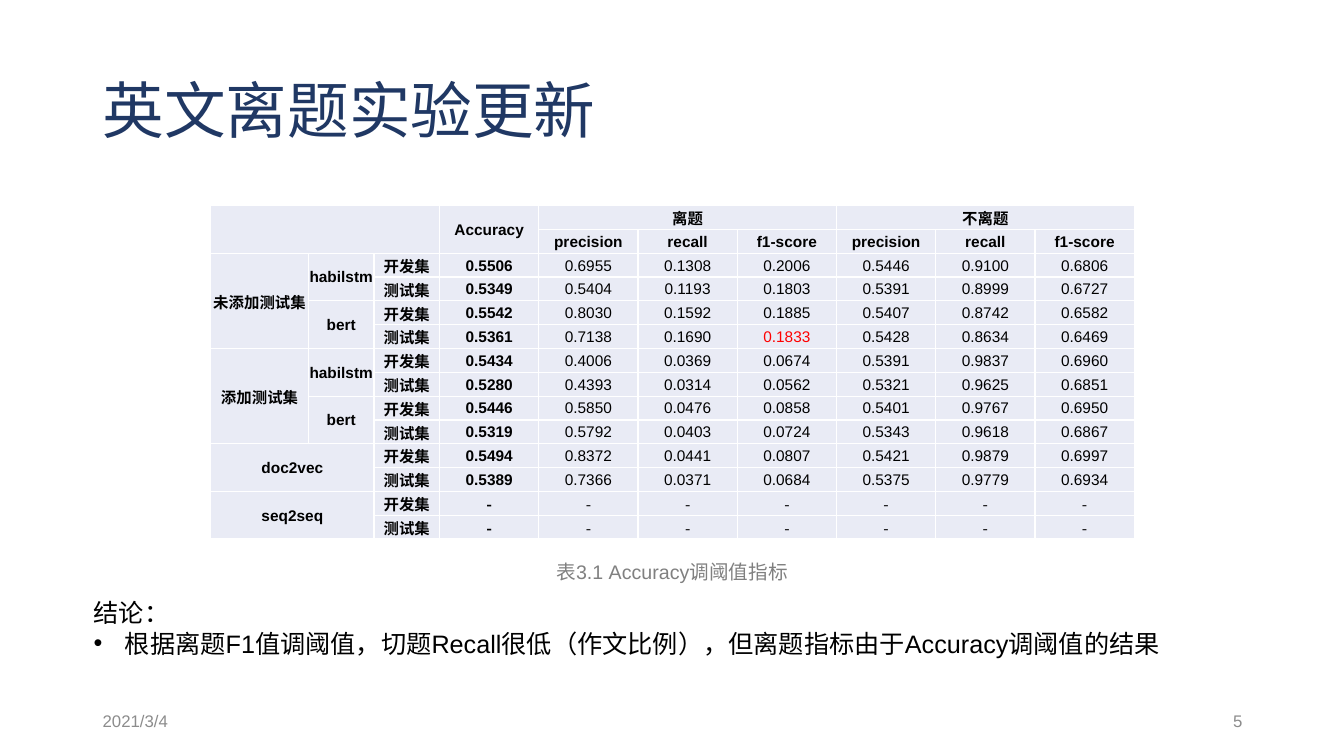
from dataclasses import dataclass
from typing import NamedTuple

from lxml import etree
from pptx import Presentation
from pptx import util as u
from pptx.dml.color import RGBColor
from pptx.enum import text
from pptx.oxml import ns


@dataclass(frozen=True)
class Theme:
    sans: str = "Arial"
    serif: str = "Times New Roman"
    han: str = "Noto Sans CJK SC"
    navy: str = "203864"
    gray: str = "8C8C8C"
    mid: str = "808080"
    black: str = "000000"
    white: str = "FFFFFF"
    red: str = "FF0000"
    pale: str = "E9EBF5"
    head: float = 44
    body: float = 18
    note: float = 14
    foot: float = 12
    grid: float = 11


T = Theme()


class Style(NamedTuple):
    size: float
    color: str = T.black
    face: str = T.sans
    bold: bool = False


class Label(NamedTuple):
    left: float
    top: float
    width: float
    height: float
    words: str
    style: Style
    anchor: text.MSO_ANCHOR = text.MSO_ANCHOR.MIDDLE
    align: text.PP_ALIGN = text.PP_ALIGN.LEFT
    pitch: float = 1.0


class Span(NamedTuple):
    row: int
    col: int
    rows: int
    cols: int
    words: str


TOP = text.MSO_ANCHOR.TOP
LABELS = [
    Label(0.92, 0.4, 11.5, 1.45, "英文离题实验更新", Style(T.head, T.navy, T.serif), pitch=0.9),
    Label(0.92, 6.95, 3, 0.4, "2021/3/4", Style(T.foot, T.gray)),
    Label(9.42, 6.95, 3, 0.4, "5", Style(T.foot, T.gray), align=text.PP_ALIGN.RIGHT),
    Label(5.42, 5.51, 2.5, 0.34, "表3.1 Accuracy调阈值指标", Style(T.note, T.mid), TOP),
]
CLOSE = Label(
    0.83, 5.88, 11.29, 0.71,
    "结论：\n根据离题F1值调阈值，切题Recall很低（作文比例），但离题指标由于Accuracy调阈值的结果",
    Style(T.body), TOP,
)

SPANS = [
    Span(0, 0, 2, 3, ""),
    Span(0, 3, 2, 1, "Accuracy"),
    Span(0, 4, 1, 3, "离题"),
    Span(0, 7, 1, 3, "不离题"),
    Span(2, 0, 4, 1, "未添加测试集"),
    Span(6, 0, 4, 1, "添加测试集"),
    *(Span(row, 1, 2, 1, name)
      for row, name in zip(range(2, 10, 2), ("habilstm", "bert") * 2)),
    Span(10, 0, 2, 2, "doc2vec"),
    Span(12, 0, 2, 2, "seq2seq"),
]
SCORES = """\
0.5506 0.6955 0.1308 0.2006 0.5446 0.9100 0.6806
0.5349 0.5404 0.1193 0.1803 0.5391 0.8999 0.6727
0.5542 0.8030 0.1592 0.1885 0.5407 0.8742 0.6582
0.5361 0.7138 0.1690 0.1833 0.5428 0.8634 0.6469
0.5434 0.4006 0.0369 0.0674 0.5391 0.9837 0.6960
0.5280 0.4393 0.0314 0.0562 0.5321 0.9625 0.6851
0.5446 0.5850 0.0476 0.0858 0.5401 0.9767 0.6950
0.5319 0.5792 0.0403 0.0724 0.5343 0.9618 0.6867
0.5494 0.8372 0.0441 0.0807 0.5421 0.9879 0.6997
0.5389 0.7366 0.0371 0.0684 0.5375 0.9779 0.6934
- - - - - - -
- - - - - - -"""
SPLITS = ("开发集", "测试集")
HEADS = ("precision", "recall", "f1-score") * 2
HOT = (5, 6)
ROWS, COLS = 14, 10
LEFT, TABTOP, WIDE, TALL = 2.09, 2.04, 9.16, 3.31
FIRST = (0.97, 0.65, 0.65)


def paint(para, style: Style) -> None:
    for run in para.runs:
        font = run.font
        font.size = u.Pt(style.size)
        font.name = style.face
        font.bold = style.bold
        font.color.rgb = RGBColor.from_string(style.color)
        etree.SubElement(font._element, ns.qn("a:ea"), typeface=T.han)


def write(slide, label: Label):
    box = slide.shapes.add_textbox(*map(u.Inches, label[:4]))
    frame = box.text_frame
    frame.word_wrap = True
    frame.vertical_anchor = label.anchor
    frame.text = label.words
    for para in frame.paragraphs:
        para.alignment = label.align
        para.line_spacing = label.pitch
        paint(para, label.style)
    return frame


def bullet(para) -> None:
    props = para._p.get_or_add_pPr()
    props.set("marL", str(u.Inches(0.31)))
    props.set("indent", str(u.Inches(-0.31)))
    etree.SubElement(props, ns.qn("a:buFont"), typeface=T.sans)
    etree.SubElement(props, ns.qn("a:buChar"), char="•")


def edge(cell) -> None:
    props = cell._tc.get_or_add_tcPr()
    for rank, side in enumerate(("lnL", "lnR", "lnT", "lnB")):
        line = etree.Element(ns.qn(f"a:{side}"), w=str(u.Pt(1)))
        fill = etree.SubElement(line, ns.qn("a:solidFill"))
        etree.SubElement(fill, ns.qn("a:srgbClr"), val=T.white)
        props.insert(rank, line)


def dress(cell, words: str, style: Style) -> None:
    cell.margin_left = cell.margin_right = cell.margin_top = u.Inches(0.01)
    cell.margin_bottom = 0
    cell.vertical_anchor = text.MSO_ANCHOR.MIDDLE
    cell.fill.solid()
    cell.fill.fore_color.rgb = RGBColor.from_string(T.pale)
    edge(cell)
    cell.text_frame.text = words
    para = cell.text_frame.paragraphs[0]
    para.alignment = text.PP_ALIGN.CENTER
    paint(para, style)
    if not words:
        etree.SubElement(para._p, ns.qn("a:endParaRPr"), sz=str(int(style.size * 100)))


def fill_in() -> dict[tuple[int, int], str]:
    words = {(span.row, span.col): span.words for span in SPANS}
    words |= {(1, col): name for col, name in enumerate(HEADS, 4)}
    for row, line in enumerate(SCORES.splitlines(), 2):
        words[row, 2] = SPLITS[row % 2]
        words |= {(row, col): score for col, score in enumerate(line.split(), 3)}
    return words


def tabulate(slide) -> None:
    area = map(u.Inches, (LEFT, TABTOP, WIDE, TALL))
    table = slide.shapes.add_table(ROWS, COLS, *area).table
    table.first_row = table.horz_banding = False
    rest = (WIDE - sum(FIRST)) / (COLS - len(FIRST))
    for col, column in enumerate(table.columns):
        column.width = u.Inches(FIRST[col] if col < len(FIRST) else rest)
    for row in table.rows:
        row.height = u.Inches(TALL / ROWS)
    words = fill_in()
    for row in range(ROWS):
        for col in range(COLS):
            spot = (row, col)
            value = words.get(spot, "")
            style = Style(
                T.grid,
                T.red if spot == HOT else T.black,
                T.han if value == "-" else T.sans,
                row < 2 or col < 4,
            )
            dress(table.cell(row, col), value, style)
    for span in SPANS:
        end = table.cell(span.row + span.rows - 1, span.col + span.cols - 1)
        table.cell(span.row, span.col).merge(end)


def main() -> None:
    deck = Presentation()
    deck.slide_width, deck.slide_height = u.Inches(13.33), u.Inches(7.5)
    slide = deck.slides.add_slide(deck.slide_layouts[6])
    for label in LABELS:
        write(slide, label)
    bullet(write(slide, CLOSE).paragraphs[1])
    tabulate(slide)
    deck.save("out.pptx")


if __name__ == "__main__":
    main()
